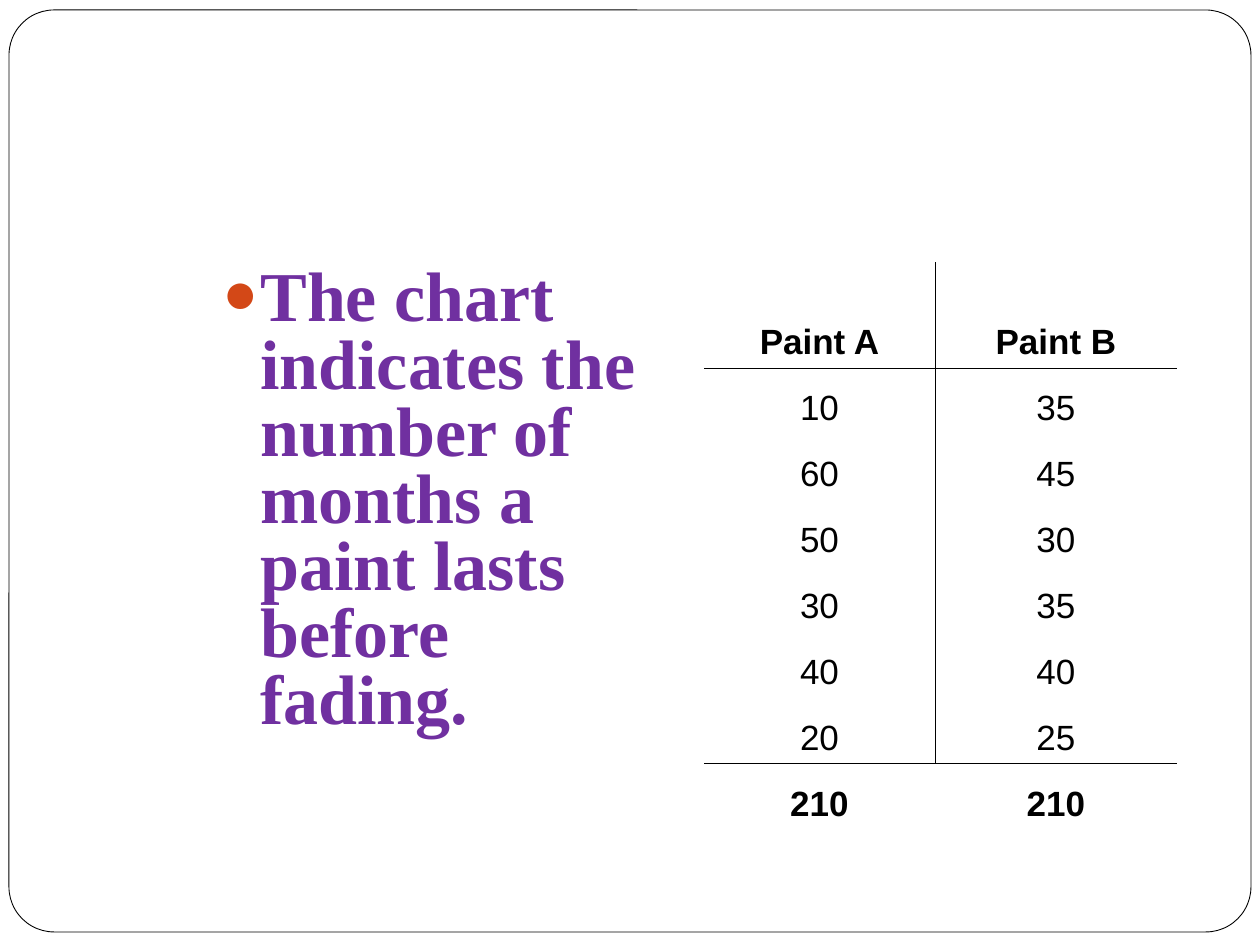
from lxml.etree import SubElement
from pptx import Presentation
from pptx.dml.color import RGBColor
from pptx.enum.shapes import MSO_SHAPE as Shape
from pptx.enum.text import MSO_ANCHOR as Anchor, PP_ALIGN as Align
from pptx.oxml.ns import qn
from pptx.util import Emu, Pt

EMU_PER_PX = 914400 / 126
BLACK, WHITE, PURPLE, ORANGE = "000000", "FFFFFF", "7030A0", "D34817"
BORDER_WIDTH = Pt(0.45)
PAINT_MONTHS = [
    ("Paint A", "Paint B"),
    ("10", "35"),
    ("60", "45"),
    ("50", "30"),
    ("30", "35"),
    ("40", "40"),
    ("20", "25"),
    ("210", "210"),
]


def px(length):
    return Emu(round(length * EMU_PER_PX))


def color(value):
    return RGBColor.from_string(value)


def write(frame, text, *, font, size, ink, bold=False, align=Align.LEFT, spacing=None):
    para = frame.paragraphs[0]
    para.alignment = align
    if spacing:
        para.line_spacing = spacing
    span = para.add_run()
    span.text = text
    span.font.name = font
    span.font.size = Pt(size)
    span.font.bold = bold
    span.font.color.rgb = color(ink)


def add_bullet(para, indent, ink, percent):
    props = para._p.get_or_add_pPr()
    props.set("marL", str(px(indent)))
    props.set("indent", str(-px(indent)))
    SubElement(SubElement(props, qn("a:buClr")), qn("a:srgbClr"), val=ink)
    SubElement(props, qn("a:buSzPct"), val=str(percent * 1000))
    SubElement(props, qn("a:buFont"), typeface="Arial")
    SubElement(props, qn("a:buChar"), char="●")


def add_frame(page, left, top, width, height):
    frame = page.shapes.add_shape(
        Shape.ROUNDED_RECTANGLE, px(left), px(top), px(width), px(height)
    )
    frame.adjustments[0] = 0.049
    frame.shadow.inherit = False
    frame.fill.solid()
    frame.fill.fore_color.rgb = color(WHITE)
    frame.line.color.rgb = color(BLACK)
    frame.line.width = Pt(0.5)


def add_statement(page, text, left, top, width, height):
    box = page.shapes.add_textbox(px(left), px(top), px(width), px(height))
    box.text_frame.word_wrap = True
    add_bullet(box.text_frame.paragraphs[0], 38, ORANGE, 85)
    write(box.text_frame, text, font="Times New Roman", size=40, ink=PURPLE,
          bold=True, spacing=0.8)


def set_borders(cell, sides):
    props = cell._tc.get_or_add_tcPr()
    for side in "LRTB":
        line = SubElement(props, qn(f"a:ln{side}"), w=str(BORDER_WIDTH))
        if side in sides:
            fill = SubElement(line, qn("a:solidFill"))
            SubElement(fill, qn("a:srgbClr"), val=BLACK)
        else:
            SubElement(line, qn("a:noFill"))


def border_sides(row, column, last):
    sides = ""
    if row < last:
        sides += "L" if column else "R"
    if row in (0, last - 1):
        sides += "B"
    if row in (1, last):
        sides += "T"
    return sides


def add_paint_table(page, left, top, widths, header_height, row_height):
    last = len(PAINT_MONTHS) - 1
    height = header_height + last * row_height
    table = page.shapes.add_table(
        last + 1, len(widths), px(left), px(top), px(sum(widths)), px(height)
    ).table
    table.first_row = False
    table.horz_banding = False
    for column, width in enumerate(widths):
        table.columns[column].width = px(width)
    for row, values in enumerate(PAINT_MONTHS):
        table.rows[row].height = px(row_height if row else header_height)
        for column, value in enumerate(values):
            cell = table.cell(row, column)
            cell.vertical_anchor = Anchor.BOTTOM
            set_borders(cell, border_sides(row, column, last))
            cell.fill.background()
            write(cell.text_frame, value, font="Arial", size=20, ink=BLACK,
                  bold=row in (0, last), align=Align.CENTER)


def main():
    deck = Presentation()
    deck.slide_width, deck.slide_height = px(1260), px(945)
    page = deck.slides.add_slide(deck.slide_layouts[6])
    add_frame(page, 9, 10, 1242, 922)
    add_statement(
        page,
        "The chart indicates the number of months a paint lasts before fading.",
        210, 262, 473, 567,
    )
    add_paint_table(page, 704, 262, (231, 242), 106, 66)
    deck.save("out.pptx")


if __name__ == "__main__":
    main()
